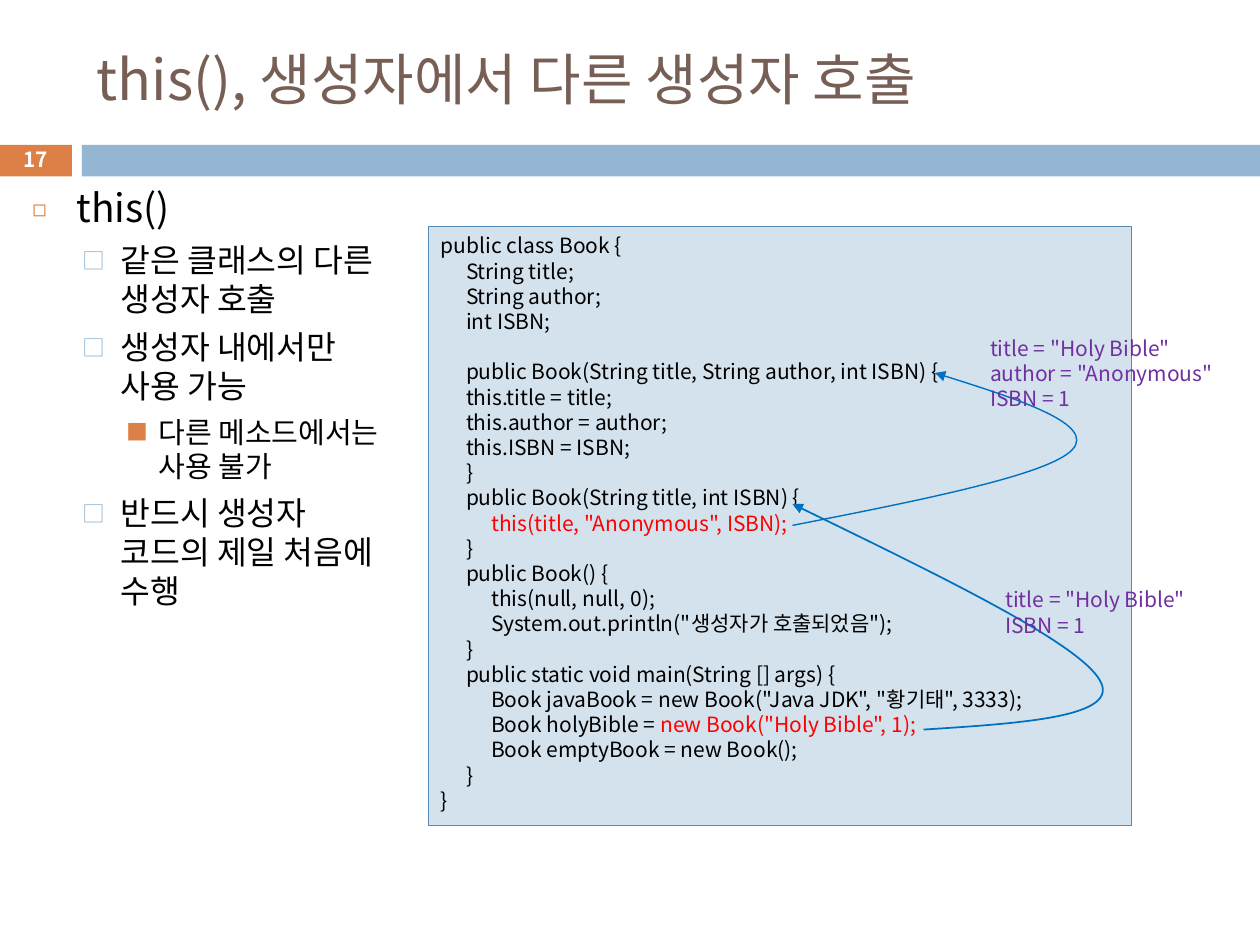
"""Build the slide on calling one constructor from another with this()."""
from lxml import etree
from pptx import Presentation
from pptx.dml.color import RGBColor
from pptx.enum.shapes import MSO_SHAPE
from pptx.enum.text import MSO_ANCHOR, PP_ALIGN
from pptx.oxml.ns import qn
from pptx.util import Pt

FONT = "Noto Sans CJK KR"
ORANGE = RGBColor(0xDD, 0x80, 0x47)
BLUE = RGBColor(0x94, 0xB6, 0xD2)
PALE_BLUE = RGBColor(0xD4, 0xE2, 0xED)
EDGE_BLUE = RGBColor(0x55, 0x8B, 0xB8)
ARROW_BLUE = RGBColor(0x00, 0x70, 0xC0)
BROWN = RGBColor(0x77, 0x5F, 0x55)
PURPLE = RGBColor(0x70, 0x30, 0xA0)
RED = RGBColor(0xFF, 0x00, 0x00)
BLACK = RGBColor(0x00, 0x00, 0x00)
WHITE = RGBColor(0xFF, 0xFF, 0xFF)

TAB = 14.4


def add_line(frame, text, size=12, color=BLACK, bold=False, align=PP_ALIGN.LEFT,
             before=0, bullet=None, tabs=(), accent="", accent_color=RED):
    first = not frame.paragraphs[0].runs
    paragraph = frame.paragraphs[0] if first else frame.add_paragraph()
    properties = paragraph._p.get_or_add_pPr()
    if bullet:
        mark, mark_color, percent, left, hanging = bullet
        properties.set("marL", str(Pt(left)))
        properties.set("indent", str(-Pt(hanging)))
        tint = etree.SubElement(properties, qn("a:buClr"))
        etree.SubElement(tint, qn("a:srgbClr"), val=str(mark_color))
        etree.SubElement(properties, qn("a:buSzPct"), val=str(percent * 1000))
        etree.SubElement(properties, qn("a:buFont"), typeface=FONT)
        etree.SubElement(properties, qn("a:buChar"), char=mark)
    if tabs:
        stops = etree.SubElement(properties, qn("a:tabLst"))
        for stop in tabs:
            etree.SubElement(stops, qn("a:tab"), pos=str(Pt(stop)), algn="l")
    paragraph.alignment = align
    if before and not first:
        paragraph.space_before = Pt(before)
    for content, tone in ((text, color), (accent, accent_color)):
        if content:
            run = paragraph.add_run()
            run.text = content
            run.font.size = Pt(size)
            run.font.bold = bold
            run.font.color.rgb = tone
            run.font.name = FONT
            etree.SubElement(run._r.get_or_add_rPr(), qn("a:ea"), typeface=FONT)


def add_box(left, top, width, height, fill=None, line=None, wrap=True,
            anchor=MSO_ANCHOR.TOP):
    area = [Pt(length) for length in (left, top, width, height)]
    if fill is None:
        box = slide.shapes.add_textbox(*area)
    else:
        box = slide.shapes.add_shape(MSO_SHAPE.RECTANGLE, *area)
        box.shadow.inherit = False
        box.fill.solid()
        box.fill.fore_color.rgb = fill
        if line is None:
            box.line.fill.background()
        else:
            box.line.color.rgb = line
            box.line.width = Pt(0.75)
    box.text_frame.word_wrap = wrap
    box.text_frame.vertical_anchor = anchor
    return box.text_frame


presentation = Presentation()
presentation.slide_width = Pt(720)
presentation.slide_height = Pt(540)
slide = presentation.slides.add_slide(presentation.slide_layouts[6])

add_box(-0.72, 82.8, 41.76, 18, fill=ORANGE)
add_box(46.8, 82.8, 673.2, 18, fill=BLUE)

title = add_box(48.24, 18, 642.24, 53.28, anchor=MSO_ANCHOR.MIDDLE)
add_line(title, "this(), 생성자에서 다른 생성자 호출", size=32, color=BROWN)

levels = [
    {"size": 22.2, "before": 7, "bullet": ("◻", ORANGE, 60, 25.2, 25.2)},
    {"size": 18.5, "before": 5.5, "bullet": ("□", BLUE, 70, 50.4, 21.6)},
    {"size": 16.6, "before": 5, "bullet": ("■", ORANGE, 75, 72, 18)},
]
rules = add_box(11.52, 101.52, 225.36, 236.88)
for level, rule in [
    (0, "this()"),
    (1, "같은 클래스의 다른 생성자 호출"),
    (1, "생성자 내에서만 사용 가능"),
    (2, "다른 메소드에서는 사용 불가"),
    (1, "반드시 생성자 코드의 제일 처음에 수행"),
]:
    add_line(rules, rule, **levels[level])

code = add_box(244.8, 129.6, 401.76, 342, fill=PALE_BLUE, line=EDGE_BLUE)
for text, accent, gap in [
    ("public class Book {", "", 0),
    ("\tString title;", "", 0),
    ("\tString author;", "", 0),
    ("\tint ISBN;", "", 0),
    ("\tpublic Book(String title, String author, int ISBN) {", "", TAB),
    ("\tthis.title = title;", "", 0),
    ("\tthis.author = author;", "", 0),
    ("\tthis.ISBN = ISBN;", "", 0),
    ("\t}", "", 0),
    ("\tpublic Book(String title, int ISBN) {", "", 0),
    ("\t\t", 'this(title, "Anonymous", ISBN);', 0),
    ("\t}", "", 0),
    ("\tpublic Book() {", "", 0),
    ("\t\tthis(null, null, 0);", "", 0),
    ('\t\tSystem.out.println("생성자가 호출되었음");', "", 0),
    ("\t}", "", 0),
    ("\tpublic static void main(String [] args) {", "", 0),
    ('\t\tBook javaBook = new Book("Java JDK", "황기태", 3333);', "", 0),
    ("\t\tBook holyBible = ", 'new Book("Holy Bible", 1);', 0),
    ("\t\tBook emptyBook = new Book();", "", 0),
    ("\t}", "", 0),
    ("}", "", 0),
]:
    add_line(code, text, accent=accent, before=gap, tabs=(TAB, 2 * TAB))

calls = [
    (0.79, 172.8, [(452.88, 300.24), (526.32, 285.84), (599.04, 271.44), (612.72, 257.04),
                   (626.4, 242.64), (580.32, 227.52), (534.24, 213.12)]),
    (1, 177.12, [(527.76, 416.88), (584.64, 413.28), (640.8, 409.68), (628.56, 388.8),
                 (616.32, 367.2), (534.24, 327.6), (452.88, 288)]),
]
for weight, width, points in calls:
    start, *controls = [(Pt(x), Pt(y)) for x, y in points]
    builder = slide.shapes.build_freeform(*start)
    builder.add_line_segments(controls, close=False)
    arrow = builder.convert_to_shape()
    outline = arrow._element.find(".//" + qn("a:path"))
    outline.set("fill", "none")
    outline.set("w", str(Pt(width)))
    arrow.width = Pt(width)
    segments = outline.findall(qn("a:lnTo"))
    for index in range(0, len(segments), 3):
        curve = etree.SubElement(outline, qn("a:cubicBezTo"))
        for segment in segments[index:index + 3]:
            curve.append(segment[0])
            outline.remove(segment)
    arrow.shadow.inherit = False
    arrow.fill.background()
    arrow.line.color.rgb = ARROW_BLUE
    arrow.line.width = Pt(weight)
    etree.SubElement(arrow.line._get_or_add_ln(), qn("a:tailEnd"), type="triangle")

page_number = add_box(-0.72, 81.36, 41.76, 19.44, anchor=MSO_ANCHOR.MIDDLE)
add_line(page_number, "17", size=11.9, color=WHITE, bold=True, align=PP_ALIGN.CENTER)

two_values = add_box(567.36, 331.92, 117.36, 36, wrap=False)
three_values = add_box(558.72, 187.92, 153.36, 51.12)
for note, values in [
    (two_values, ['title = "Holy Bible"', "ISBN = 1"]),
    (three_values, ['title = "Holy Bible"', 'author = "Anonymous"', "ISBN = 1"]),
]:
    for value in values:
        add_line(note, value, color=PURPLE)

presentation.save("out.pptx")
